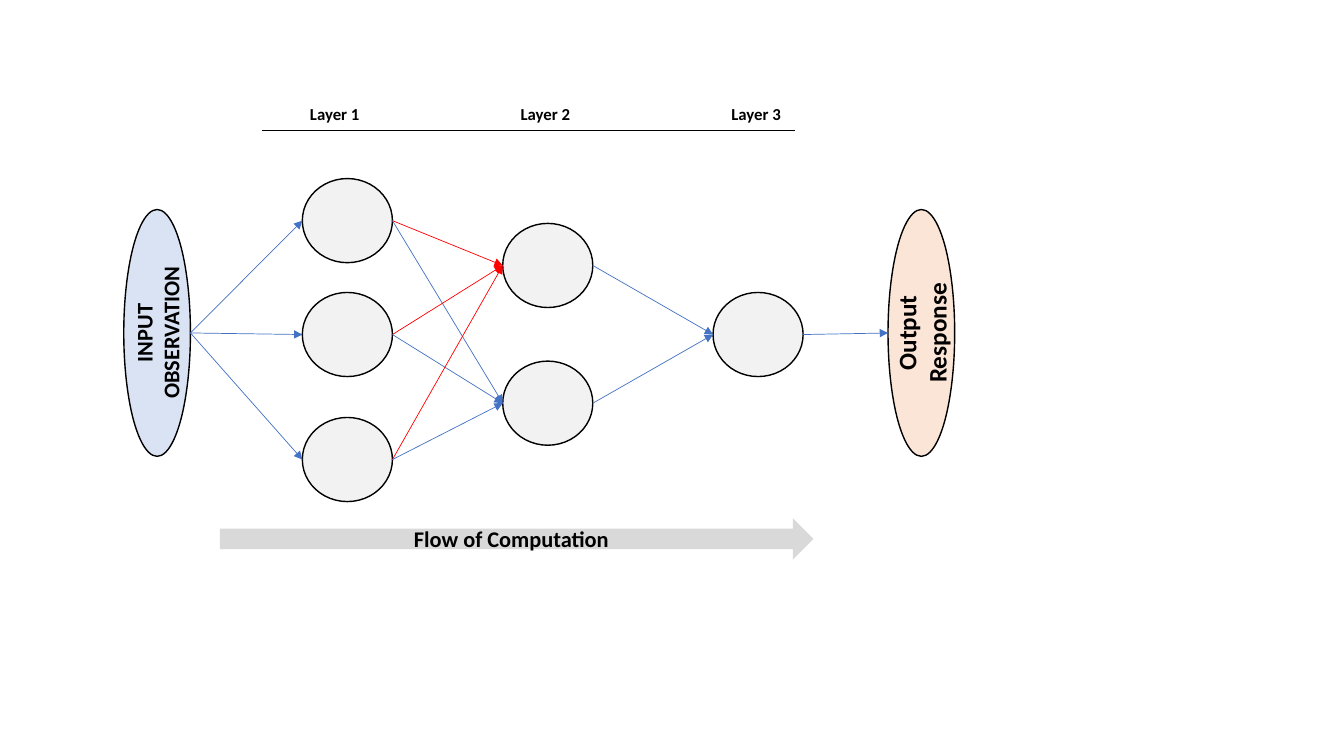
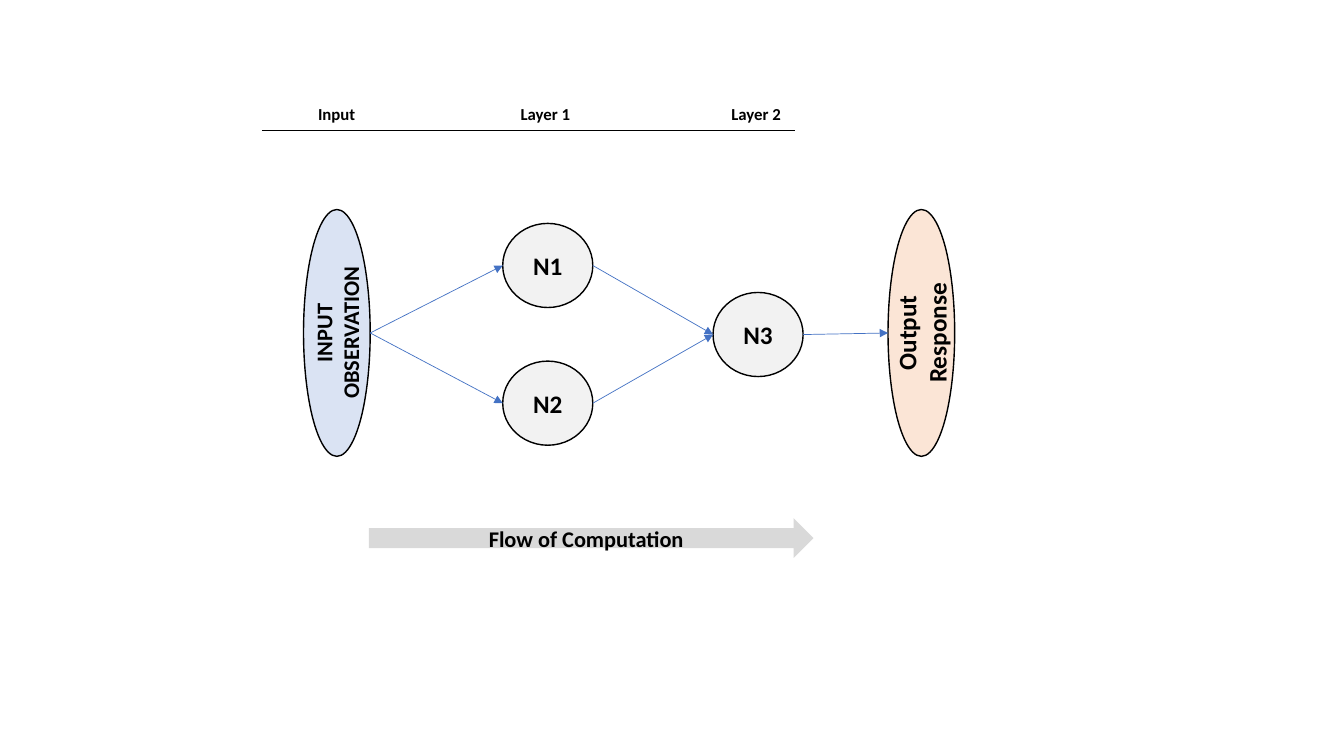
from dataclasses import dataclass
from itertools import pairwise, product

from lxml.etree import SubElement
from pptx import Presentation
from pptx.dml.color import RGBColor as Rgb
from pptx.enum.shapes import MSO_CONNECTOR as Link, MSO_SHAPE as Form
from pptx.enum.text import MSO_ANCHOR as Anchor, MSO_AUTO_SIZE as Fit, PP_ALIGN as Align
from pptx.oxml.ns import qn
from pptx.util import Cm, Pt


@dataclass(frozen=True)
class Theme:
    """Colours, font and type sizes shared by the slides."""
    font: str = "Calibri"
    ink: str = "000000"
    node: str = "F2F2F2"
    source: str = "DAE3F3"
    result: str = "FBE5D6"
    flow: str = "D9D9D9"
    edge: str = "4472C4"
    accent: str = "FF0000"
    small: int = 12
    mid: int = 16
    large: int = 18
    thin: float = 0.5
    rim: float = 1


THEME = Theme()

# Each layer is (left, [(top, name), ...]), in cm.
PAIR, LAST = (5.63, 9.1), 7.37
SLIDES = [
    {
        "heads": ["Layer 1 ", "Layer 2 ", "Layer 3 "],
        "input": 3.12,
        "layers": [
            (7.62, [(4.5, ""), (LAST, ""), (10.52, "")]),
            (12.67, [(top, "") for top in PAIR]),
            (17.97, [(LAST, "")]),
        ],
        "red": (1, 0),  # layer and node whose incoming edges stand out
        "flow": (5.54, 1.04),
    },
    {
        "heads": ["Input", "Layer 1 ", "Layer 2 "],
        "input": 7.65,
        "layers": [
            (12.67, list(zip(PAIR, ("N1", "N2")))),
            (17.97, [(LAST, "N3")]),
        ],
        "red": None,
        "flow": (9.3, 1.0),
    },
]
NODE = 2.27, 2.12
OVAL_TOP, OVAL = 5.28, (1.68, 6.22)
OUTPUT = 22.38
HEAD_LEFT, HEAD_STEP, HEAD_TOP, HEAD = 7.09, 5.31, 2.49, (2.79, 0.76)
RULE = (6.6, 3.28), (20.04, 3.28)
FLOW_TOP, FLOW_END = 13.06, 20.5


def tint(code):
    """Turn a hex code into a colour."""
    return Rgb.from_string(code)


def write(frame, text, size):
    """Put one bold, centred run in a text frame."""
    frame.word_wrap = True
    para = frame.paragraphs[0]
    para.alignment = Align.CENTER
    run = para.add_run()
    run.text = text
    font = run.font
    font.name, font.size, font.bold = THEME.font, Pt(size), True
    font.color.rgb = tint(THEME.ink)


def block(slide, form, box, fill, text="", size=THEME.large, rim=True, turn=False):
    """Draw a filled shape, with optional outline and upright text."""
    shape = slide.shapes.add_shape(form, *map(Cm, box))
    shape.shadow.inherit = False
    shape.fill.solid()
    shape.fill.fore_color.rgb = tint(fill)
    if rim:
        shape.line.color.rgb = tint(THEME.ink)
        shape.line.width = Pt(THEME.rim)
    else:
        shape.line.fill.background()
    frame = shape.text_frame
    frame.vertical_anchor = Anchor.MIDDLE
    if turn:
        frame._txBody.bodyPr.set("vert", "vert270")
    if text:
        write(frame, text, size)
    return box


def line(slide, start, end, code, arrow=True):
    """Draw a thin line, with an arrowhead at its end if wanted."""
    link = slide.shapes.add_connector(Link.STRAIGHT, *map(Cm, (*start, *end)))
    link.line.color.rgb = tint(code)
    link.line.width = Pt(THEME.thin)
    if arrow:
        SubElement(link.line._get_or_add_ln(), qn("a:tailEnd"), type="triangle")
    SubElement(link._element.spPr, qn("a:effectLst"))


def header(slide, heads):
    """Name the columns above a rule."""
    for col, text in enumerate(heads):
        box = HEAD_LEFT + col * HEAD_STEP, HEAD_TOP, *HEAD
        frame = slide.shapes.add_textbox(*map(Cm, box)).text_frame
        write(frame, text, THEME.small)
        frame.auto_size = Fit.SHAPE_TO_FIT_TEXT
    line(slide, *RULE, THEME.ink, arrow=False)


def oval(slide, left, fill, text, size):
    """Draw a tall end oval with turned text."""
    box = left, OVAL_TOP, *OVAL
    return block(slide, Form.OVAL, box, fill, text, size, turn=True)


def join(slide, stages, red):
    """Link every box of a stage to every box of the next."""
    for level, (here, there) in enumerate(pairwise(stages)):
        for (x, y, w, h), (item, goal) in product(here, enumerate(there)):
            code = THEME.accent if (level, item) == red else THEME.edge
            end = goal[0], goal[1] + goal[3] / 2
            line(slide, (x + w, y + h / 2), end, code)


def build(slide, data):
    """Draw one network from input to output."""
    header(slide, data["heads"])
    stages = [[oval(slide, data["input"], THEME.source, "INPUT OBSERVATION", THEME.mid)]]
    for left, nodes in data["layers"]:
        stages.append([block(slide, Form.OVAL, (left, top, *NODE), THEME.node, name)
                       for top, name in nodes])
    stages.append([oval(slide, OUTPUT, THEME.result, "Output Response", THEME.large)])
    join(slide, stages, data["red"])
    left, high = data["flow"]
    block(slide, Form.RIGHT_ARROW, (left, FLOW_TOP, FLOW_END - left, high),
          THEME.flow, "Flow of Computation", THEME.mid, rim=False)


deck = Presentation()
deck.slide_width, deck.slide_height = Cm(33.87), Cm(19.05)
for data in SLIDES:
    build(deck.slides.add_slide(deck.slide_layouts[6]), data)
deck.save("out.pptx")
